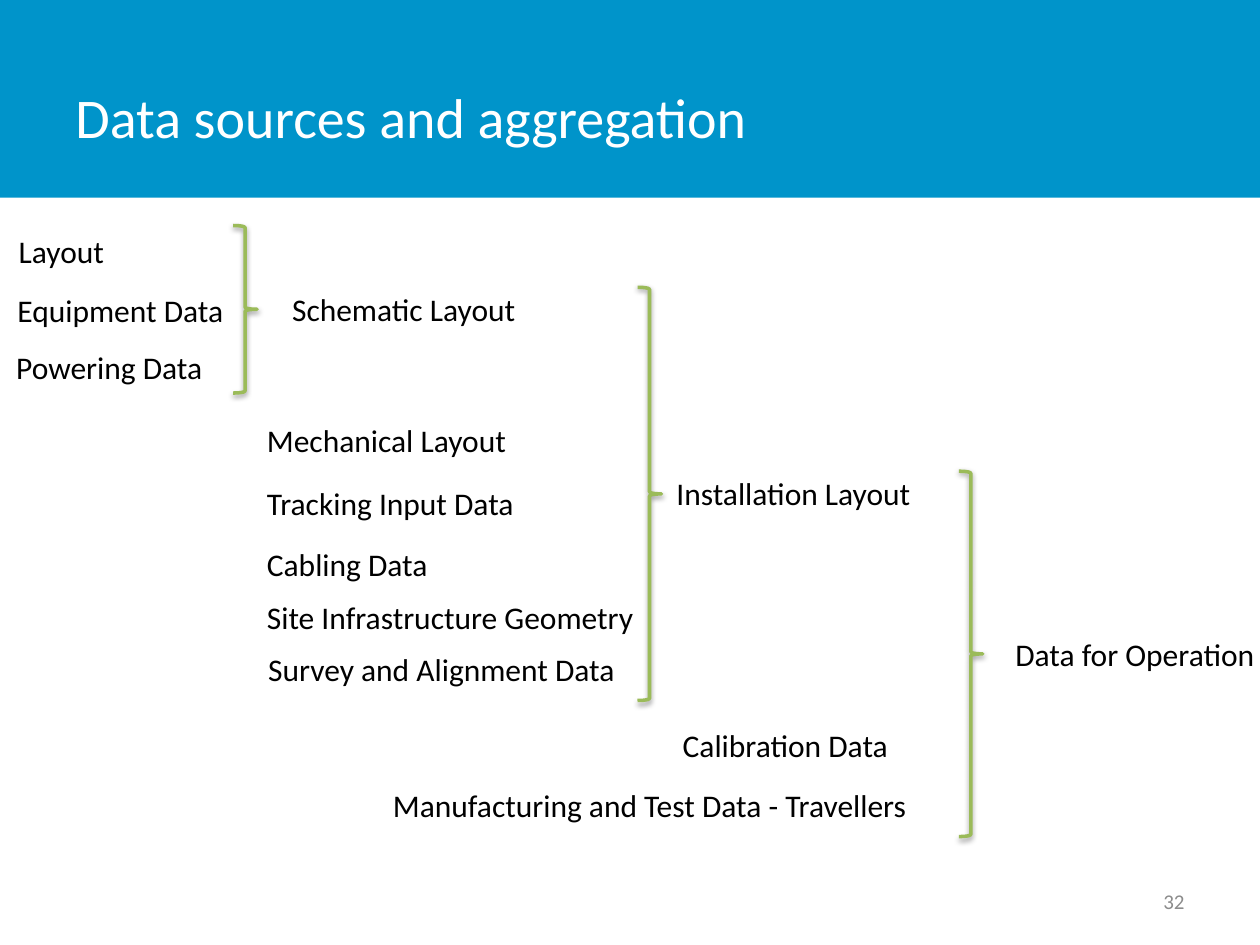
from dataclasses import dataclass

from lxml import etree
from pptx import Presentation
from pptx.dml.color import RGBColor
from pptx.enum import shapes, text
from pptx.oxml import ns
from pptx.util import Inches, Pt


@dataclass(frozen=True)
class Theme:
    font: str = "Calibri"
    banner: RGBColor = RGBColor(0x00, 0x94, 0xCA)
    title: RGBColor = RGBColor(0xFF, 0xFF, 0xFF)
    body: RGBColor = RGBColor(0x00, 0x00, 0x00)
    number: RGBColor = RGBColor(0x8C, 0x8C, 0x8C)
    brace: RGBColor = RGBColor(0x9B, 0xBB, 0x59)
    title_size: int = 32
    body_size: int = 18
    number_size: int = 12
    brace_width: int = 2


THEME = Theme()
LABEL_HEIGHT = 0.4
BRACE_WIDTH = 0.19

# Each stage: box of its sources and brace, then (label, x, y, width) in that box
STAGES = [
    ((0.03, 1.79, 2.01, 1.33), [
        ("Layout", 0.02, 0, 0.89),
        ("Equipment Data", 0.01, 0.47, 1.86),
        ("Powering Data", 0, 0.92, 1.71),
    ]),
    ((2.02, 2.28, 3.23, 3.28), [
        ("Schematic Layout", 0.2, -0.03, 2),
        ("Mechanical Layout", 0, 1.01, 2.13),
        ("Tracking Input Data", 0, 1.51, 2.32),
        ("Cabling Data", 0, 2, 1.5),
        ("Site Infrastructure Geometry", 0, 2.42, 3.16),
        ("Survey and Alignment Data", 0.01, 2.83, 2.99),
    ]),
    ((3.02, 3.74, 4.78, 2.9), [
        ("Installation Layout", 2.25, -0.03, 2.1),
        ("Calibration Data", 2.3, 1.97, 1.86),
        ("Manufacturing and Test Data - Travellers", 0, 2.45, 4.39),
    ]),
]


def add_text(slide, box, wording, size, color, wrap=True,
             anchor=text.MSO_ANCHOR.MIDDLE, align=text.PP_ALIGN.LEFT):
    shape = slide.shapes.add_textbox(*map(Inches, box))
    frame = shape.text_frame
    frame.word_wrap = wrap
    frame.vertical_anchor = anchor
    paragraph = frame.paragraphs[0]
    paragraph.alignment = align
    run = paragraph.add_run()
    run.text = wording
    run.font.name = THEME.font
    run.font.size = Pt(size)
    run.font.color.rgb = color
    return shape


def add_label(slide, left, top, width, wording):
    shape = add_text(slide, (left, top, width, LABEL_HEIGHT), wording,
                     THEME.body_size, THEME.body, wrap=False,
                     anchor=text.MSO_ANCHOR.TOP)
    shape.text_frame.auto_size = text.MSO_AUTO_SIZE.SHAPE_TO_FIT_TEXT


def add_soft_shadow(shape):
    effects = etree.SubElement(shape._element.spPr, ns.qn("a:effectLst"))
    shadow = etree.SubElement(
        effects, ns.qn("a:outerShdw"), blurRad=str(Pt(3.1)),
        dist=str(Pt(1.6)), dir="5400000", rotWithShape="0")
    color = etree.SubElement(shadow, ns.qn("a:srgbClr"), val="000000")
    etree.SubElement(color, ns.qn("a:alpha"), val="38000")


def add_brace(slide, box):
    brace = slide.shapes.add_shape(
        shapes.MSO_SHAPE.RIGHT_BRACE, *map(Inches, box))
    brace.fill.background()
    brace.line.color.rgb = THEME.brace
    brace.line.width = Pt(THEME.brace_width)
    add_soft_shadow(brace)


def add_banner(slide, box):
    left, top, width, height = box
    banner = slide.shapes.add_shape(
        shapes.MSO_SHAPE.RECTANGLE, *map(Inches, box))
    banner.shadow.inherit = False
    banner.fill.solid()
    banner.fill.fore_color.rgb = THEME.banner
    banner.line.fill.background()
    add_text(slide, (left + 0.5, top + 0.3, width - 2.19, height - 0.32),
             "Data sources and aggregation", THEME.title_size, THEME.title)


def add_stage(slide, box, sources):
    left, top, width, height = box
    for wording, x, y, label_width in sources:
        add_label(slide, left + x, top + y, label_width, wording)
    add_brace(slide, (left + width - BRACE_WIDTH, top, BRACE_WIDTH, height))


def add_page_number(slide, box):
    add_text(slide, box, "32", THEME.number_size, THEME.number,
             align=text.PP_ALIGN.RIGHT)


def main():
    presentation = Presentation()
    presentation.slide_width = Inches(10)
    presentation.slide_height = Inches(7.5)
    slide = presentation.slides.add_slide(presentation.slide_layouts[6])

    # Title banner
    add_banner(slide, (0, 0, 10, 1.57))

    # Sources, gathered stage by stage into the final result
    for box, sources in STAGES:
        add_stage(slide, box, sources)
    add_label(slide, 7.96, 4.99, 2.14, "Data for Operation")

    # Footer
    add_page_number(slide, (7.17, 6.95, 2.33, 0.4))
    presentation.save("out.pptx")


if __name__ == "__main__":
    main()
